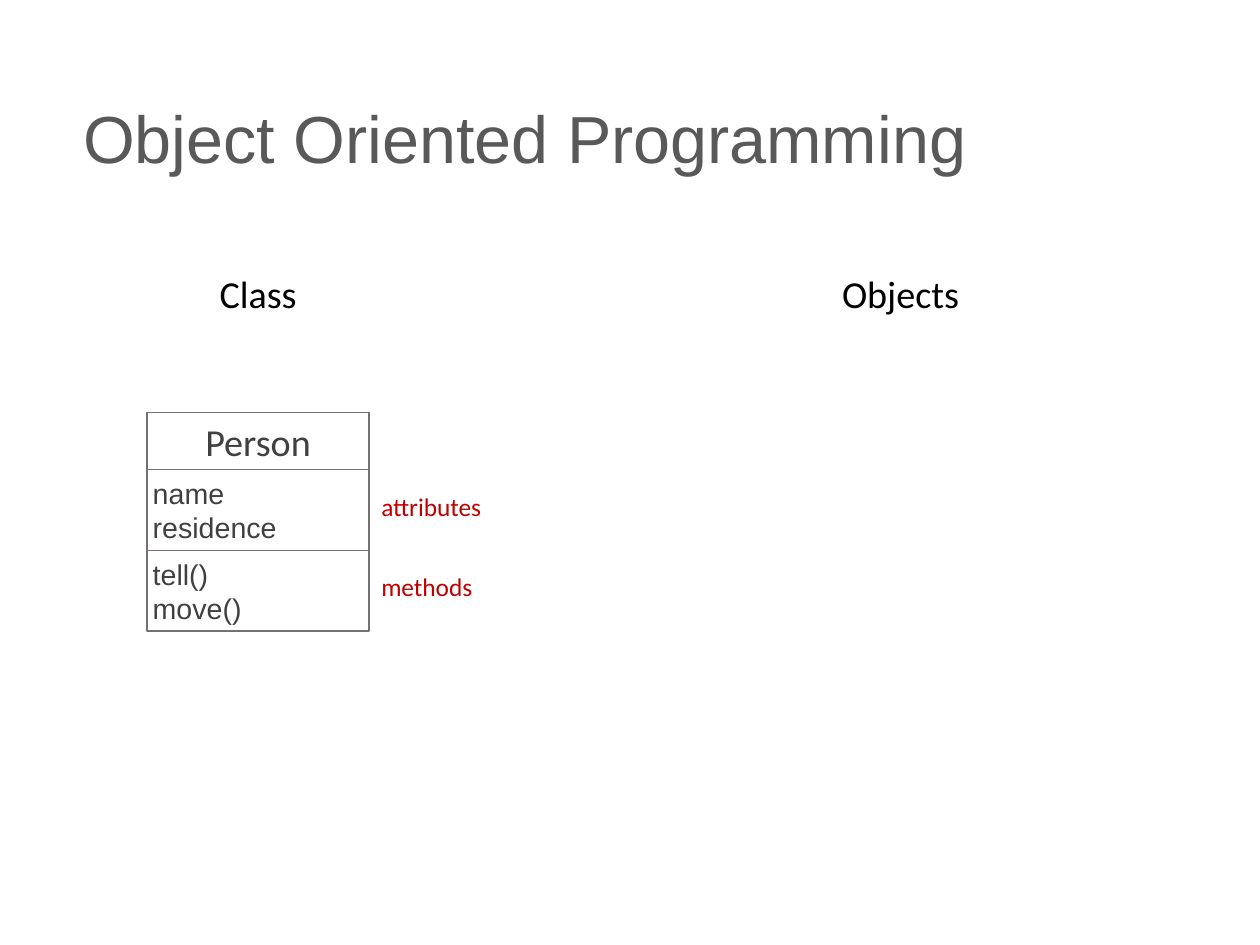
from dataclasses import dataclass

from pptx import Presentation
from pptx.dml.color import RGBColor
from pptx.enum.shapes import MSO_SHAPE
from pptx.enum.text import MSO_ANCHOR, PP_ALIGN
from pptx.shapes.autoshape import Shape
from pptx.slide import Slide
from pptx.util import Pt

RECTANGLE = MSO_SHAPE.RECTANGLE
TOP, MIDDLE = MSO_ANCHOR.TOP, MSO_ANCHOR.MIDDLE
LEFT, CENTER, RIGHT = PP_ALIGN.LEFT, PP_ALIGN.CENTER, PP_ALIGN.RIGHT


@dataclass(frozen=True)
class Theme:
    title_color: str = "595959"
    heading_color: str = "000000"
    member_color: str = "404040"
    note_color: str = "C00000"
    border_color: str = "767171"
    heading_font: str = "Calibri"
    body_font: str = "Arial"
    title_size: float = 41.9
    heading_size: float = 24
    member_size: float = 18
    note_size: float = 16
    border_width: float = 1


@dataclass(frozen=True)
class Box:
    left: float
    top: float
    width: float
    height: float


@dataclass(frozen=True)
class Compartment:
    lines: tuple[str, ...]
    height: float
    font: str
    size: float
    align: PP_ALIGN
    note: str = ""


THEME = Theme()
SLIDE_WIDTH, SLIDE_HEIGHT = 793.7, 595.28
CLASS_LEFT, CLASS_TOP, CLASS_WIDTH = 92.6, 259.7, 139.9
HEADING_TOP, HEADING_HEIGHT = 167, 36.2
NOTE_LEFT, NOTE_WIDTH, NOTE_HEIGHT, NOTE_OFFSET = 236.6, 88.6, 26.6, 9.7
MEMBERS_HEIGHT = 50.9

PERSON = (
    Compartment(("Person",), HEADING_HEIGHT, THEME.heading_font,
                THEME.heading_size, CENTER),
    Compartment(("name", "residence"), MEMBERS_HEIGHT, THEME.body_font,
                THEME.member_size, LEFT, "attributes"),
    Compartment(("tell()", "move()"), MEMBERS_HEIGHT, THEME.body_font,
                THEME.member_size, LEFT, "methods"),
)


def write(shape: Shape, *lines: str, font: str, size: float, color: str,
          align: PP_ALIGN = LEFT, anchor: MSO_ANCHOR = TOP,
          inset: float = 3.6, wrap: bool = True, spacing: float = 1) -> None:
    frame = shape.text_frame
    frame.word_wrap = wrap
    frame.vertical_anchor = anchor
    frame.margin_left = frame.margin_right = Pt(inset)
    frame.margin_top = frame.margin_bottom = Pt(3.6)
    frame.text = "\n".join(lines)
    for paragraph in frame.paragraphs:
        paragraph.alignment = align
        paragraph.line_spacing = spacing
        paragraph.font.name = font
        paragraph.font.size = Pt(size)
        paragraph.font.color.rgb = RGBColor.from_string(color)


def add_label(slide: Slide, box: Box) -> Shape:
    return slide.shapes.add_textbox(
        Pt(box.left), Pt(box.top), Pt(box.width), Pt(box.height))


def add_frame(slide: Slide, box: Box) -> Shape:
    frame = slide.shapes.add_shape(
        RECTANGLE, Pt(box.left), Pt(box.top), Pt(box.width), Pt(box.height))
    frame.shadow.inherit = False
    frame.fill.background()
    frame.line.color.rgb = RGBColor.from_string(THEME.border_color)
    frame.line.width = Pt(THEME.border_width)
    return frame


def draw_headings(slide: Slide) -> None:
    write(add_label(slide, Box(45.4, 31.7, 702.7, 115.2)),
          "Object Oriented Programming", font=THEME.body_font,
          size=THEME.title_size, color=THEME.title_color,
          anchor=MIDDLE, inset=7.2, spacing=0.9)
    write(add_label(slide, Box(CLASS_LEFT, HEADING_TOP, CLASS_WIDTH, HEADING_HEIGHT)),
          "Class", font=THEME.heading_font, size=THEME.heading_size,
          color=THEME.heading_color, align=CENTER)
    write(add_label(slide, Box(526, HEADING_TOP, 81.8, HEADING_HEIGHT)),
          "Objects", font=THEME.heading_font, size=THEME.heading_size,
          color=THEME.heading_color, align=RIGHT, wrap=False)


def draw_class(slide: Slide, compartments: tuple[Compartment, ...]) -> None:
    top = CLASS_TOP
    for part in compartments:
        write(add_frame(slide, Box(CLASS_LEFT, top, CLASS_WIDTH, part.height)),
              *part.lines, font=part.font, size=part.size,
              color=THEME.member_color, align=part.align, anchor=MIDDLE)
        if part.note:
            write(add_label(slide, Box(NOTE_LEFT, top + NOTE_OFFSET,
                                       NOTE_WIDTH, NOTE_HEIGHT)),
                  part.note, font=THEME.heading_font, size=THEME.note_size,
                  color=THEME.note_color)
        top += part.height


def main() -> None:
    presentation = Presentation()
    presentation.slide_width = Pt(SLIDE_WIDTH)
    presentation.slide_height = Pt(SLIDE_HEIGHT)
    slide = presentation.slides.add_slide(presentation.slide_layouts[6])
    draw_headings(slide)
    draw_class(slide, PERSON)
    presentation.save("out.pptx")


if __name__ == "__main__":
    main()
